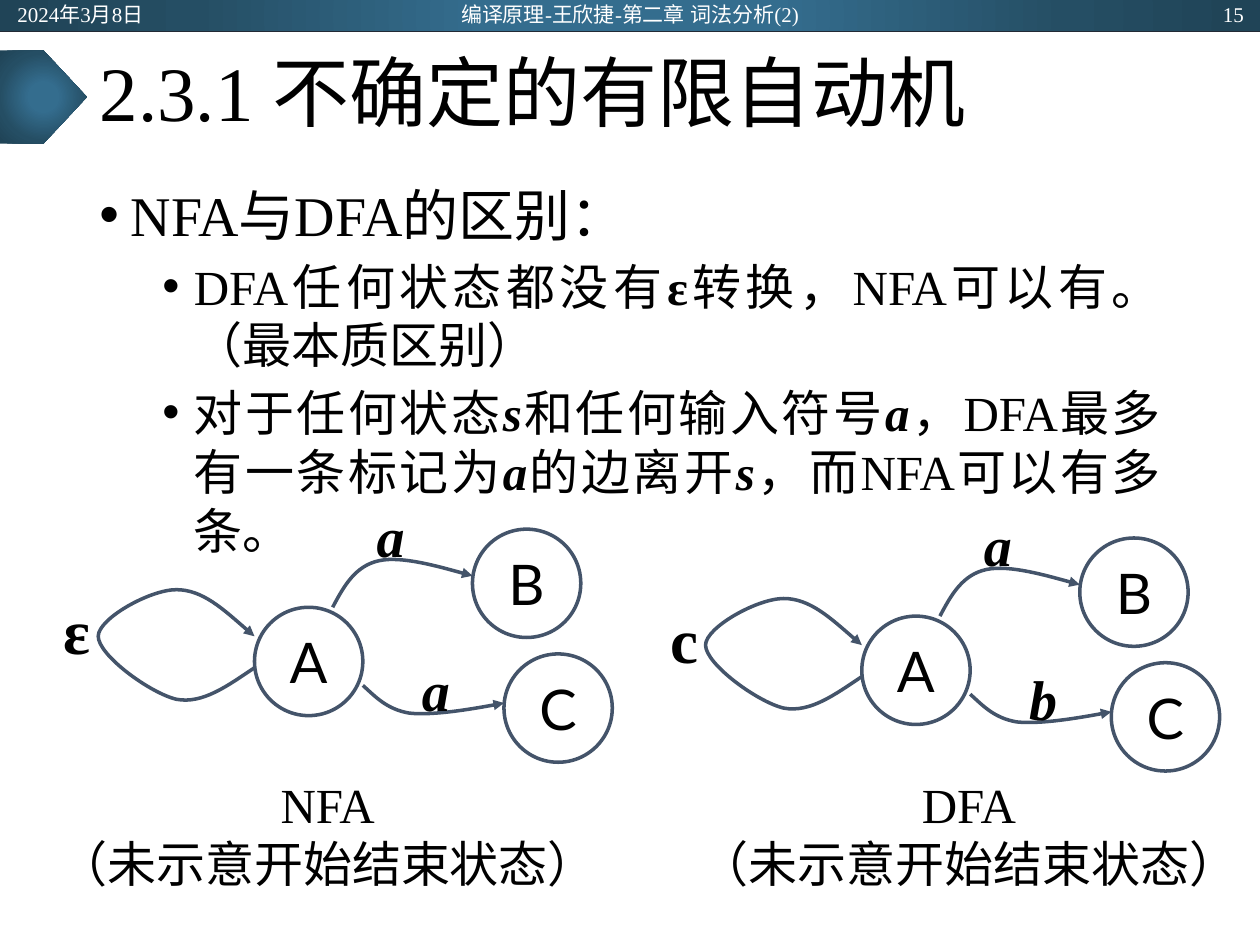
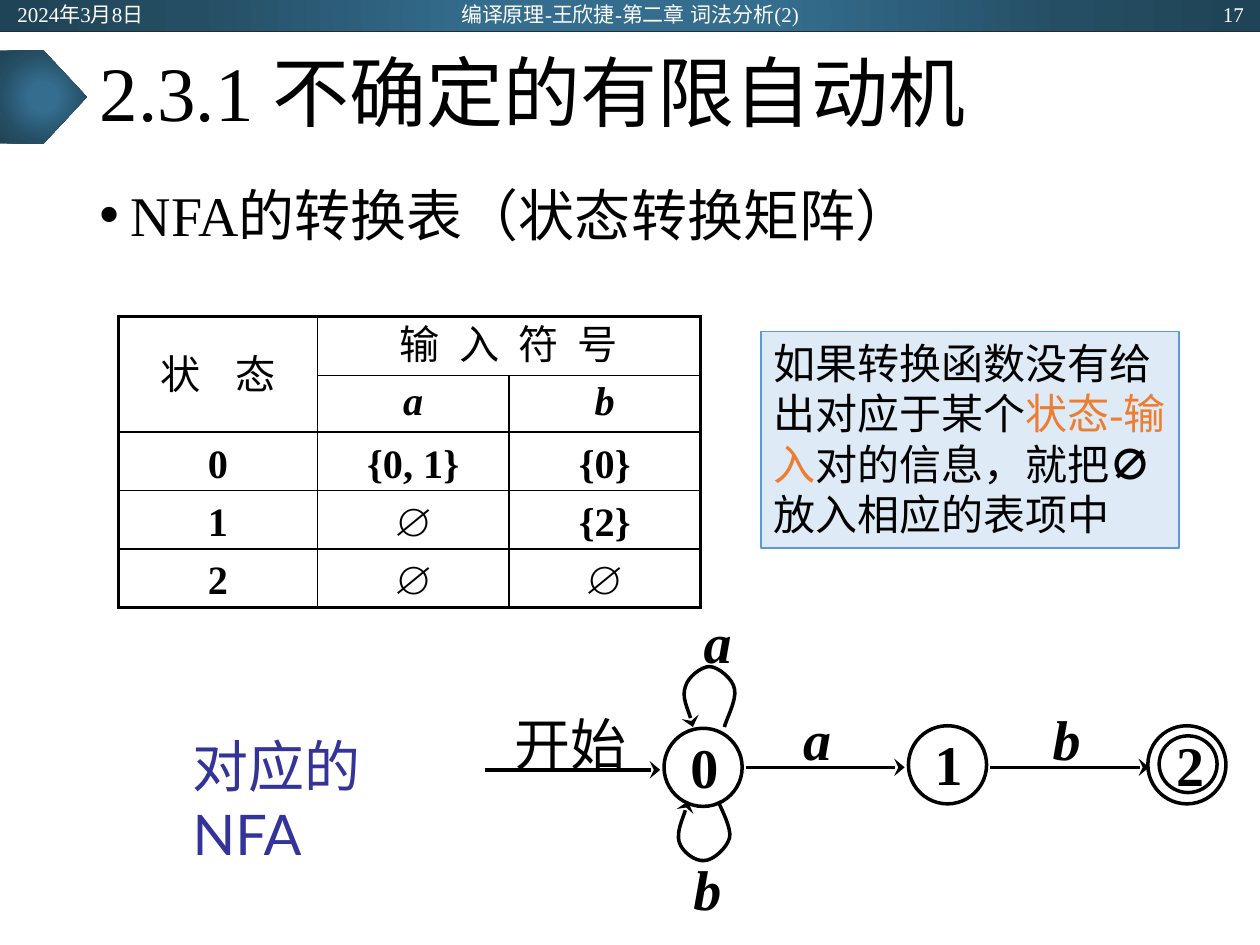
from lxml import etree
from pptx import Presentation
from pptx.dml.color import RGBColor
from pptx.enum import shapes, text
from pptx.oxml import parse_xml
from pptx.oxml.ns import qn
from pptx import util as u

COLUMNS, ROWS = 100, 75
SERIF, SANS, HAN = "Times New Roman", "Lato", "Noto Sans CJK SC"
COLORS = {
    "ink": "000000", "paper": "FFFFFF", "state": "44546A", "rule": "222A35",
    "band": "346D8E", "band_mid": "254E64", "band_edge": "204457",
    "heading": "333399", "accent": "ED7D31", "note": "DEEBF7", "note_edge": "5B9BD5",
}
ALIGN = {"l": text.PP_ALIGN.LEFT, "c": text.PP_ALIGN.CENTER,
         "r": text.PP_ALIGN.RIGHT, "j": text.PP_ALIGN.JUSTIFY}
MIDDLE, TOP = text.MSO_ANCHOR.MIDDLE, text.MSO_ANCHOR.TOP
TIGHT = (0.04, 0.02, 0.04, 0.02)
VARIABLE = {"bold": True, "italic": True}
A_NS = 'xmlns:a="http://schemas.openxmlformats.org/drawingml/2006/main"'


def rgb(name):
    return RGBColor.from_string(COLORS[name])


def add_text(paragraph, content, size=32, font=SERIF, asian=SANS, color="ink",
             bold=False, italic=False, tracking=None):
    run = paragraph.add_run()
    run.text = content
    run.font.size, run.font.name = u.Pt(size), font
    run.font.bold, run.font.italic = bold, italic
    run.font.color.rgb = rgb(color)
    properties = run.font._element
    etree.SubElement(properties, qn("a:ea"), typeface=asian)
    if tracking:
        properties.set("spc", str(round(tracking * 100)))


class Deck:
    def __init__(self):
        self.deck = Presentation()
        self.deck.slide_width, self.deck.slide_height = u.Inches(10), u.Inches(7.5)
        self.column = self.deck.slide_width / COLUMNS
        self.row = self.deck.slide_height / ROWS
        self.layout = self.deck.slide_layouts[5]
        self.slide = None

    def place(self, left, top, width, height):
        return (round(left * self.column), round(top * self.row),
                round(width * self.column), round(height * self.row))

    def fill_text(self, shape, paragraphs, align="l", anchor=TOP, insets=None,
                  wrap=True, **style):
        frame = shape.text_frame
        frame.word_wrap, frame.vertical_anchor = wrap, anchor
        if insets:
            (frame.margin_left, frame.margin_top,
             frame.margin_right, frame.margin_bottom) = map(u.Inches, insets)
        if isinstance(paragraphs, str):
            paragraphs = [[paragraphs]]
        for i, runs in enumerate(paragraphs):
            paragraph = frame.add_paragraph() if i else frame.paragraphs[0]
            paragraph.alignment = ALIGN[align]
            for run in runs:
                content, changes = (run, {}) if isinstance(run, str) else run
                add_text(paragraph, content, **{**style, **changes})
        return frame

    def label(self, box, content, **style):
        shape = self.slide.shapes.add_textbox(*self.place(*box))
        return self.fill_text(shape, content, **style)

    def bullets(self, box, items, align="l"):
        frame = self.label(box, [runs for _, runs in items], align=align)
        for i, (paragraph, (level, _)) in enumerate(zip(frame.paragraphs, items)):
            paragraph.level = level
            if i:
                paragraph.space_before = u.Pt(5 if level else 10)
            properties = paragraph._p.get_or_add_pPr()
            properties.set("marL", str(u.Inches(0.25 + 0.5 * level)))
            properties.set("indent", str(u.Inches(-0.25)))
            etree.SubElement(properties, qn("a:buFont"), typeface="Arial")
            etree.SubElement(properties, qn("a:buChar"), char="•")
            for run in paragraph.runs:
                run.font.size = u.Pt(28 if level else 32)

    def outline(self, shape, color, width, head=None):
        shape.line.color.rgb, shape.line.width = rgb(color), u.Pt(width)
        if head:
            etree.SubElement(shape.line._get_or_add_ln(), qn("a:tailEnd"), type=head,
                             w="lg" if head == "stealth" else "med")

    def shape(self, kind, box, fill=None, line=None, width=2):
        shape = self.slide.shapes.add_shape(kind, *self.place(*box))
        shape.shadow.inherit = False
        if fill:
            shape.fill.solid()
            shape.fill.fore_color.rgb = rgb(fill)
        else:
            shape.fill.background()
        if line:
            self.outline(shape, line, width)
        else:
            shape.line.fill.background()
        return shape

    def glow(self, kind, box):
        shape = self.shape(kind, box, fill="band")
        stops = ((0, "band"), (23, "band"), (69, "band_mid"), (97, "band_edge"))
        listing = "".join(f'<a:gs pos="{pos * 1000}"><a:srgbClr val="{COLORS[name]}"/></a:gs>'
                          for pos, name in stops)
        gradient = parse_xml(
            f'<a:gradFill {A_NS} rotWithShape="1"><a:gsLst>{listing}</a:gsLst>'
            '<a:path path="circle"><a:fillToRect l="50000" t="50000" r="50000" b="50000"/>'
            '</a:path></a:gradFill>')
        properties = shape._element.spPr
        properties.replace(properties.find(qn("a:solidFill")), gradient)
        return shape

    def state(self, box, name=None, color="ink", **style):
        circle = self.shape(shapes.MSO_SHAPE.OVAL, box, line=color)
        if name:
            self.fill_text(circle, name, align="c", anchor=MIDDLE, **style)

    def line(self, start, end, color="ink", width=2, head=None):
        ends = self.place(*start, *end)
        connector = self.slide.shapes.add_connector(shapes.MSO_CONNECTOR.STRAIGHT, *ends)
        self.outline(connector, color, width, head)
        etree.SubElement(connector._element.spPr, qn("a:effectLst"))
        return connector

    def curve(self, *controls, color="ink", head="stealth"):
        points = [(round(x * self.column), round(y * self.row)) for x, y in controls]
        builder = self.slide.shapes.build_freeform(*points[0])
        builder.add_line_segments(points[1:], close=False)
        arc = builder.convert_to_shape()
        route = next(arc._element.iter(qn("a:path")))
        segments = route.findall(qn("a:lnTo"))
        for i in range(0, len(segments), 3):
            cubic = etree.SubElement(route, qn("a:cubicBezTo"))
            for segment in segments[i:i + 3]:
                cubic.append(segment[0])
                route.remove(segment)
        arc.shadow.inherit = False
        arc.fill.background()
        self.outline(arc, color, 2, head)

    def table(self, box, widths, heights, merges):
        grid = self.slide.shapes.add_table(len(heights), len(widths), *self.place(*box)).table
        grid.first_row = grid.horz_banding = False
        for column, width in zip(grid.columns, widths):
            column.width = round(width * self.column)
        for row, height in zip(grid.rows, heights):
            row.height = round(height * self.row)
        for first, last in merges:
            grid.cell(*first).merge(grid.cell(*last))
        return grid

    def cell(self, grid, r, c, content, insets, anchor=TOP, **style):
        cell = grid.cell(r, c)
        right = c + (cell.span_width if cell.is_merge_origin else 1)
        outer = {"L": c == 0, "R": right == len(grid.columns),
                 "T": r == 0, "B": r == len(grid.rows) - 1}
        properties = cell._tc.get_or_add_tcPr()
        for side, thick in outer.items():
            edge = etree.SubElement(properties, qn(f"a:ln{side}"),
                                    w=str(u.Pt(2.25 if thick else 1)))
            paint = etree.SubElement(edge, qn("a:solidFill"))
            etree.SubElement(paint, qn("a:srgbClr"), val=COLORS["ink"])
        cell.fill.background()
        cell.vertical_anchor = anchor
        (cell.margin_left, cell.margin_top,
         cell.margin_right, cell.margin_bottom) = map(u.Inches, insets)
        if content:
            paragraph = cell.text_frame.paragraphs[0]
            paragraph.alignment = ALIGN["c"]
            add_text(paragraph, content, size=23, **style)

    def decorate_layout(self):
        for part in (self.glow(shapes.MSO_SHAPE.RECTANGLE, (0, 0, COLUMNS, 2.5)),
                     self.line((0, 2.5), (COLUMNS, 2.5), "rule", 0.5),
                     self.glow(shapes.MSO_SHAPE.PENTAGON, (0, 4, 6.9, 7.4))):
            self.layout.shapes._spTree.append(part._element)

    def start(self, title, number):
        first = self.slide is None
        self.slide = self.deck.slides.add_slide(self.layout)
        if first:
            self.decorate_layout()
        heading = self.slide.shapes.title
        heading.left, heading.top, heading.width, heading.height = self.place(6.9, 2.5, 86.2, 10.4)
        frame = self.fill_text(heading, title, anchor=MIDDLE, size=44)
        frame.auto_size = text.MSO_AUTO_SIZE.NONE
        frame.paragraphs[0].line_spacing = 0.9
        for left, width, content, align in (
                (0.4, 22.5, "2024年3月8日", "l"),
                (33.1, 33.8, "编译原理-王欣捷-第二章 词法分析(2)", "c"),
                (77.2, 22.5, str(number), "r")):
            self.label((left, 0.1, width, 2), content, align=align, anchor=MIDDLE,
                       size=12, color="paper")


def draw_automaton(deck, dx, dy, loop, upper, lower):
    def at(*points):
        return [(x + dx, y + dy) for x, y in points]

    for name, left, top in (("A", 20.2, 48.2), ("B", 37.5, 42), ("C", 40, 51.9)):
        deck.state((left + dx, top + dy, 8.6, 8.6), name, "state", font=SANS, wrap=False)
    for arc in (
            at((26.4, 48.2), (27.3, 46.5), (28.2, 44.9), (30.1, 44.5),
               (31.9, 44.1), (36, 45.3), (37.5, 45.7)),
            at((28.8, 54.4), (29.8, 55.3), (30.7, 56.3), (32.5, 56.6),
               (34.4, 56.8), (38.5, 56.1), (40, 55.8)),
            at((20.2, 53), (18.1, 54.4), (16.1, 55.9), (14, 55.5),
               (11.9, 55), (7.8, 52), (7.8, 50.5), (7.8, 49.1), (11.9, 46.8), (14, 46.8),
               (16.1, 46.8), (18.1, 48.7), (20.2, 50.5))):
        deck.curve(*arc, color="state", head="triangle")
    for symbol, left, top in ((upper, 28.9, 39.3), (lower, 32.5, 51.5)):
        deck.label((left + dx, top + dy, 3, 6.4), symbol, align="c", anchor=MIDDLE,
                   wrap=False, **VARIABLE)
    deck.label((4.6 + dx, 46.7 + dy, 3.1, 6.5), loop, align="c", anchor=MIDDLE,
               insets=TIGHT, wrap=False, size=36, bold=True)


def build_comparison(deck, title):
    deck.start(title, 15)
    s, a = ("s", VARIABLE), ("a", VARIABLE)
    deck.bullets((6.9, 13.8, 86.2, 53.8), [
        (0, ["NFA与DFA的区别："]),
        (1, ["DFA任何状态都没有", ("ε", {"bold": True}), "转换，NFA可以有。（最本质区别）"]),
        (1, ["对于任何状态", s, "和任何输入符号", a, "，DFA最多有一条标记为", a,
             "的边离开", s, "，而NFA可以有多条。"]),
    ], align="j")
    draw_automaton(deck, 0, 0, "ε", "a", "a")
    draw_automaton(deck, 48.2, 0.7, "c", "a", "b")
    for left, kind in ((3.4, "NFA"), (54.3, "DFA")):
        deck.label((left, 61, 45.2, 10.4), [[kind], ["（未示意开始结束状态）"]],
                   align="c", wrap=False, size=28)


def build_transition_table(deck, title):
    deck.start(title, 17)
    deck.bullets((6.9, 13.8, 86.2, 53.8), [(0, ["NFA的转换表（状态转换矩阵）"])])

    for name, box, insets in (
            ("1", (72.1, 57.6, 6.2, 6.2), (0.04, 0.02, 0.02, 0.04)),
            (None, (91.1, 57.6, 6.2, 6.2), None),
            ("2", (92, 58.4, 4.6, 4.5), (0.04, 0, 0.01, 0)),
            ("0", (52.7, 57.8, 6.2, 6.2), (0.04, 0.02, 0.02, 0.04))):
        deck.state(box, name, insets=insets, bold=True)
    for start, end, y in ((38.5, 52.4, 61.1), (59.2, 71.8, 60.9), (78.6, 91.2, 60.9)):
        deck.line((start, y), (end, y), head="stealth")
    deck.curve((57.5, 57.7), (57.6, 57.2), (58.5, 55.5), (58.3, 54.7),
               (58.2, 53.9), (57, 52.9), (56.3, 52.9), (55.7, 52.9), (54.6, 53.7), (54.4, 54.5),
               (54.1, 55.3), (54.9, 57), (55, 57.7))
    deck.curve((57, 63.6), (57.2, 64.1), (58.1, 65.8), (57.9, 66.5),
               (57.7, 67.3), (56.6, 68.3), (55.9, 68.3), (55.2, 68.4), (54.1, 67.6), (53.9, 66.8),
               (53.7, 66), (54.5, 64.2), (54.6, 63.6))
    for symbol, left, top in (("a", 62.3, 56.1), ("b", 82.1, 56.1),
                              ("a", 54.4, 48.4), ("b", 53.6, 68)):
        deck.label((left, top, 5.1, 5), symbol, align="c", anchor=MIDDLE,
                   insets=TIGHT, **VARIABLE)
    deck.label((40.2, 56.1, 10.1, 5.8), "开始", align="c", anchor=MIDDLE, insets=TIGHT)
    deck.label((14.3, 57.6, 23.4, 6.4), [[("对应的", {"font": HAN}), "NFA"]],
               font=SANS, color="heading")

    heights = (4.7, 4.5, 4.6, 4.6, 4.6)
    grid = deck.table((9.4, 25.1, 46.2, sum(heights)), (15.8, 15.2, 15.2),
                      heights, [((0, 0), (1, 0)), ((0, 1), (0, 2))])
    heading = (0.07, 0.03, 0.07, 0.03)
    deck.cell(grid, 0, 0, "状 态", heading, MIDDLE, font=SANS, tracking=7)
    deck.cell(grid, 0, 1, "输 入 符 号", heading, font=HAN, tracking=2.5)
    for r, c in ((0, 2), (1, 0)):
        deck.cell(grid, r, c, None, heading)
    for c, symbol in enumerate("ab", 1):
        deck.cell(grid, 1, c, symbol, (0.05, 0.03, 0.05, 0.03), asian=SERIF, **VARIABLE)
    moves = (("0", "{0, 1}", "{0}"), ("1", "∅", "{2}"), ("2", "∅", "∅"))
    for r, row in enumerate(moves, 2):
        for c, content in enumerate(row):
            deck.cell(grid, r, c, content, (0, 0.08, 0, 0), asian=SERIF, bold=True)

    note = deck.shape(shapes.MSO_SHAPE.RECTANGLE, (60.4, 26.3, 33.2, 17.2),
                      "note", "note_edge", 1)
    deck.fill_text(note, [["如果转换函数没有给出对应于某个", ("状态-输入", {"color": "accent"}),
                           "对的信息，就把", ("∅", {"bold": True}), "放入相应的表项中"]], size=24)


def main():
    deck = Deck()
    title = "2.3.1 不确定的有限自动机"
    build_comparison(deck, title)
    build_transition_table(deck, title)
    deck.deck.save("out.pptx")


if __name__ == "__main__":
    main()
